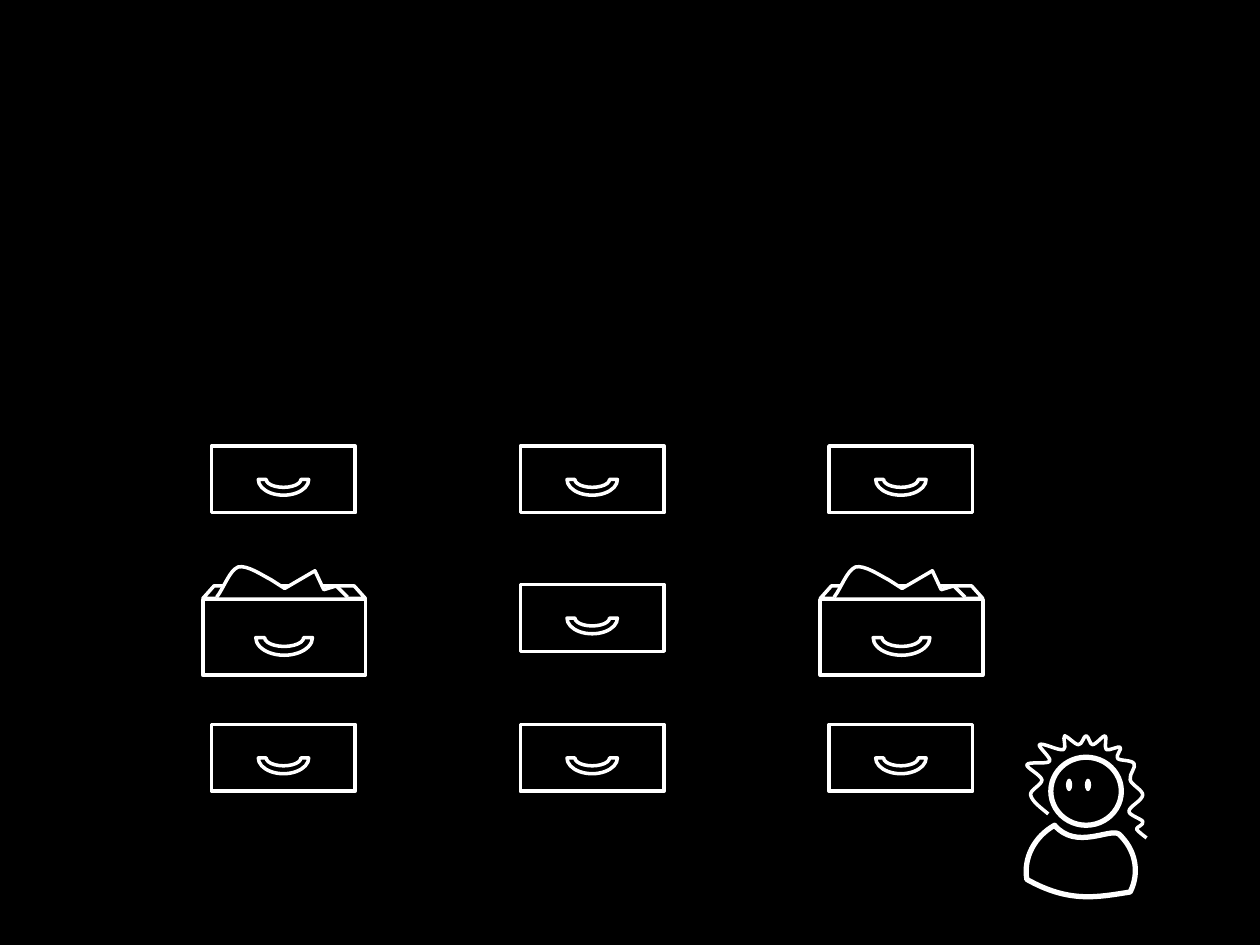
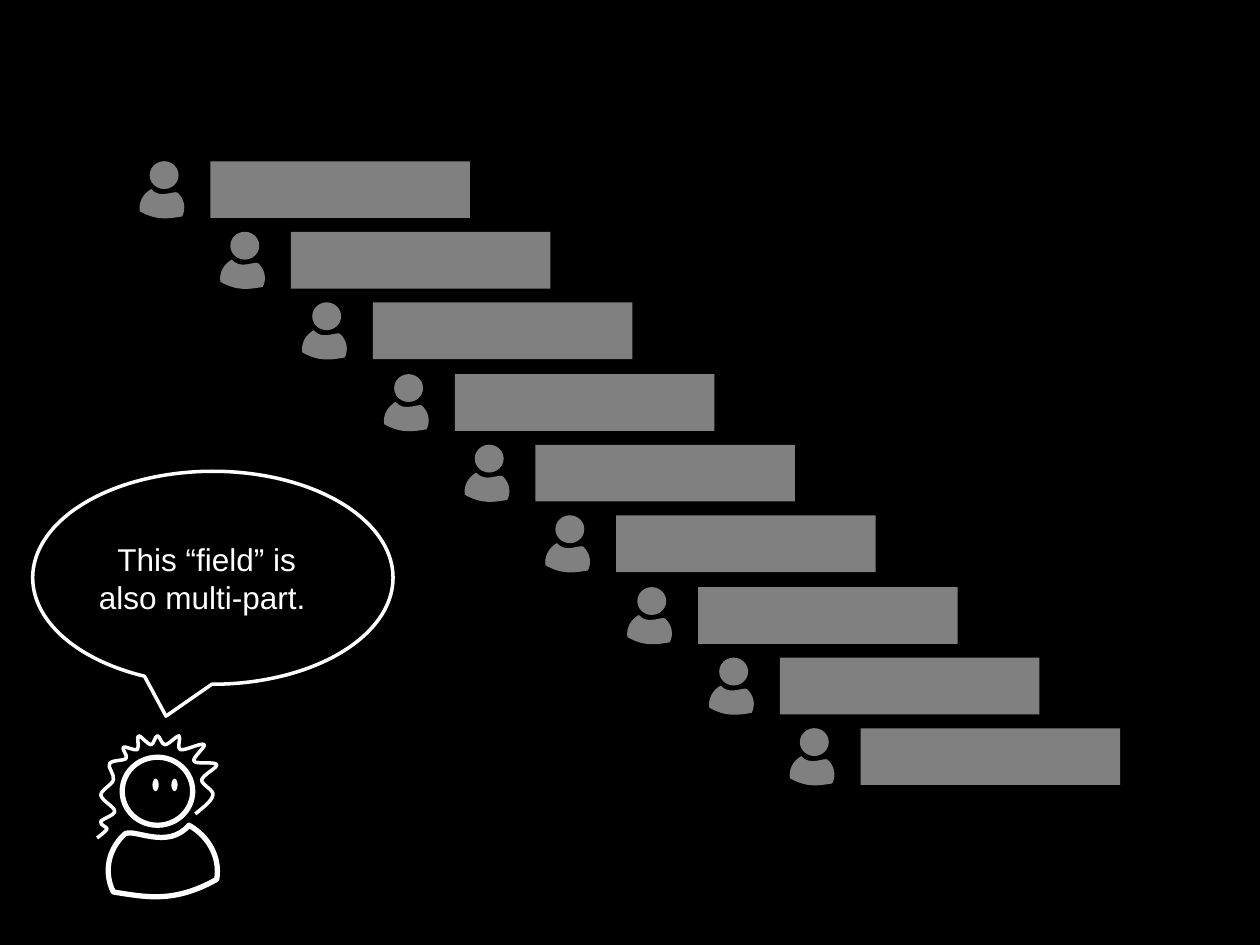
"""Build two slides: a grid of drawers and a staircase of people, both with a curly-haired commentator."""
from dataclasses import dataclass
from typing import Optional

from lxml.etree import SubElement
from pptx import Presentation
from pptx.dml.color import RGBColor
from pptx.enum.shapes import MSO_SHAPE as Preset
from pptx.enum.text import MSO_ANCHOR, PP_ALIGN
from pptx.oxml.ns import qn
from pptx.util import Emu, Pt

PX = 9144
WIDTH, HEIGHT = 1000, 750
BLACK = RGBColor(0x00, 0x00, 0x00)
WHITE = RGBColor(0xFF, 0xFF, 0xFF)
GREY = RGBColor(0x80, 0x80, 0x80)
FONT = "Arial"
CURVE_STEPS = 10


@dataclass(frozen=True)
class Paint:
    fill: Optional[RGBColor] = None
    stroke: Optional[int] = None


@dataclass(frozen=True)
class Box:
    left: int
    top: int
    width: int
    height: int


@dataclass(frozen=True)
class Outline:
    start: tuple[int, int]
    segments: tuple[tuple[int, ...], ...]
    closed: bool = False


@dataclass(frozen=True)
class Placement:
    left: int
    top: int
    scale: float = 1.0
    mirrored: bool = False

    def point(self, x: float, y: float) -> tuple[float, float]:
        direction = -1 if self.mirrored else 1
        return ((self.left + direction * self.scale * x) * PX,
                (self.top + self.scale * y) * PX)

    def frame(self, box: Box) -> list[Emu]:
        near_x = box.left + box.width if self.mirrored else box.left
        lengths = (*self.point(near_x, box.top),
                   box.width * self.scale * PX, box.height * self.scale * PX)
        return [Emu(round(length)) for length in lengths]


@dataclass(frozen=True)
class Drawer:
    front: Box
    handle: Box
    is_open: bool = False


THIN = Paint(stroke=2)
BOLD = Paint(stroke=3)
SOLID_WHITE = Paint(fill=WHITE)
SOLID_GREY = Paint(fill=GREY)
MASKED = Paint(fill=BLACK, stroke=2)
ON_SLIDE = Placement(0, 0)

BODY = Outline((0, 114), (
    (-3, 97, 6, 80, 22, 71), (39, 91, 66, 73, 73, 78),
    (86, 90, 90, 108, 82, 124), (56, 128, 34, 133, 0, 114),
), closed=True)
HEAD = Box(19, 17, 56, 54)
EYES = [Box(left, 34, 5, 10) for left in (31, 46)]
HAIR = Outline((17, 62), (
    (11, 57, 4, 52, 3, 47), (2, 43, 12, 39, 12, 35), (11, 31, -1, 25, 0, 23),
    (1, 20, 17, 23, 18, 20), (20, 18, 8, 8, 10, 7), (12, 5, 25, 12, 29, 11),
    (32, 10, 28, 1, 30, 0), (32, 0, 38, 7, 41, 7), (44, 7, 45, 0, 47, 0),
    (49, 0, 50, 7, 52, 7), (55, 7, 61, -1, 62, 0), (64, 0, 61, 9, 63, 11),
    (65, 12, 73, 8, 74, 9), (76, 10, 70, 16, 72, 18), (74, 20, 83, 19, 85, 22),
    (87, 25, 81, 30, 82, 35), (83, 39, 92, 43, 92, 47), (91, 52, 81, 56, 81, 60),
    (81, 63, 91, 66, 92, 68), (93, 71, 87, 72, 87, 74), (88, 76, 95, 81, 95, 81),
    (95, 81),
))

CLOSED_DRAWER = Drawer(Box(0, 0, 114, 53), Box(37, 14, 40, 25))
OPEN_DRAWER = Drawer(Box(-7, 12, 129, 60), Box(35, 28, 45, 28), is_open=True)
DRAWER_RIM = Box(-7, 1, 129, 10)
PAPERS = Outline((4, 10), (
    (10, 2, 14, -11, 21, -14), (28, -16, 41, -7, 47, -4),
    (58, 3), (82, -11), (89, 4), (99, 1), (108, 10),
))
DRAWER_COLUMNS = (168, 413, 658)
DRAWER_ROWS = (354, 464, 575)
OPEN_CELLS = {(0, 1), (2, 1)}

STAIR_COUNT = 9
STAIR_RUN, STAIR_DROP = 516, 450
STAIR_BAR = Box(167, 128, 206, 45)
STAIR_PERSON = Placement(111, 121, scale=0.41)


def apply_paint(shape, paint: Paint) -> None:
    """Set fill and line of a shape, without shadow."""
    shape.shadow.inherit = False
    if paint.fill is None:
        shape.fill.background()
    else:
        shape.fill.solid()
        shape.fill.fore_color.rgb = paint.fill
    if paint.stroke is None:
        shape.line.fill.background()
    else:
        shape.line.color.rgb = WHITE
        shape.line.width = Pt(paint.stroke)


def draw_preset(shapes, preset: Preset, box: Box, paint: Paint,
                place: Placement = ON_SLIDE):
    """Draw a preset shape in a placed box."""
    shape = shapes.add_shape(preset, *place.frame(box))
    apply_paint(shape, paint)
    return shape


def trace(outline: Outline) -> list[tuple[float, float]]:
    """Sample the lines and cubic curves of an outline to learn its extent."""
    points = []
    x0, y0 = outline.start
    for segment in outline.segments:
        *controls, x3, y3 = segment
        if controls:
            x1, y1, x2, y2 = controls
            for step in range(1, CURVE_STEPS + 1):
                t = step / CURVE_STEPS
                u = 1 - t
                weights = (u ** 3, 3 * u * u * t, 3 * u * t * t, t ** 3)
                points.append((sum(w * x for w, x in zip(weights, (x0, x1, x2, x3))),
                               sum(w * y for w, y in zip(weights, (y0, y1, y2, y3)))))
        else:
            points.append((x3, y3))
        x0, y0 = x3, y3
    return points


def draw_outline(shapes, outline: Outline, paint: Paint, place: Placement) -> None:
    """Draw a placed outline as a freeform with true curves."""
    builder = shapes.build_freeform(*place.point(*outline.start), scale=1.0)
    builder.add_line_segments([place.point(x, y) for x, y in trace(outline)],
                              close=outline.closed)
    shape = builder.convert_to_shape()
    route = shape.element.find(".//" + qn("a:path"))
    for straight in route.findall(qn("a:lnTo")):
        route.remove(straight)
    for segment in outline.segments:
        command = SubElement(route, qn("a:lnTo" if len(segment) == 2 else "a:cubicBezTo"))
        for corner in zip(segment[::2], segment[1::2]):
            x, y = place.point(*corner)
            SubElement(command, qn("a:pt"), x=str(round(x - shape.left)),
                       y=str(round(y - shape.top)))
    if outline.closed:
        route.append(route.find(qn("a:close")))
    apply_paint(shape, paint)


def draw_person(shapes, place: Placement, paint: Paint) -> None:
    """Draw the body and head of a person."""
    draw_outline(shapes, BODY, paint, place)
    draw_preset(shapes, Preset.OVAL, HEAD, paint, place)


def draw_commentator(slide, place: Placement) -> None:
    """Draw the curly-haired person with eyes."""
    figure = slide.shapes.add_group_shape().shapes
    draw_person(figure, place, BOLD)
    draw_outline(figure, HAIR, THIN, place)
    gaze = slide.shapes.add_group_shape().shapes
    for eye in EYES:
        draw_preset(gaze, Preset.OVAL, eye, SOLID_WHITE, place)


def draw_drawer(slide, drawer: Drawer, place: Placement) -> None:
    """Draw a drawer front with its handle, and the papers of an open one."""
    parts = slide.shapes.add_group_shape().shapes
    draw_preset(parts, Preset.RECTANGLE, drawer.front, THIN, place)
    draw_preset(parts, Preset.BLOCK_ARC, drawer.handle, THIN, place).rotation = 180
    if drawer.is_open:
        rim = draw_preset(parts, Preset.TRAPEZOID, DRAWER_RIM, THIN, place)
        rim.adjustments[0] = 0.89
        draw_outline(parts, PAPERS, MASKED, place)


def draw_stairs(slide) -> None:
    """Draw the descending row of people, each with a bar."""
    stairs = slide.shapes.add_group_shape().shapes
    for index in range(STAIR_COUNT):
        right = round(STAIR_RUN * index / (STAIR_COUNT - 1))
        down = round(STAIR_DROP * index / (STAIR_COUNT - 1))
        draw_preset(stairs, Preset.RECTANGLE, STAIR_BAR, SOLID_GREY,
                    Placement(right, down))
        draw_person(stairs, Placement(STAIR_PERSON.left + right,
                                      STAIR_PERSON.top + down,
                                      STAIR_PERSON.scale), SOLID_GREY)


def draw_speech(slide, words: str) -> None:
    """Draw the speech balloon with its words."""
    balloon = draw_preset(slide.shapes, Preset.OVAL_CALLOUT,
                          Box(26, 374, 286, 169), MASKED)
    balloon.adjustments[0], balloon.adjustments[1] = -0.13, 0.65
    frame = balloon.text_frame
    frame.word_wrap = True
    frame.vertical_anchor = MSO_ANCHOR.MIDDLE
    frame.margin_left = frame.margin_top = frame.margin_bottom = 0
    frame.margin_right = Emu(10 * PX)
    remark = frame.paragraphs[0]
    remark.text = words
    remark.alignment = PP_ALIGN.CENTER
    remark.font.name = FONT
    remark.font.size = Pt(18)
    remark.font.color.rgb = WHITE


def main() -> None:
    """Build and save the presentation."""
    deck = Presentation()
    deck.slide_width, deck.slide_height = Emu(WIDTH * PX), Emu(HEIGHT * PX)
    backdrop = deck.slide_master.background.fill
    backdrop.solid()
    backdrop.fore_color.rgb = BLACK
    blank = deck.slide_layouts[6]

    cabinet = deck.slides.add_slide(blank)
    for column, left in enumerate(DRAWER_COLUMNS):
        for row, top in enumerate(DRAWER_ROWS):
            drawer = OPEN_DRAWER if (column, row) in OPEN_CELLS else CLOSED_DRAWER
            draw_drawer(cabinet, drawer, Placement(left, top))
    draw_commentator(cabinet, Placement(815, 584))

    staircase = deck.slides.add_slide(blank)
    draw_commentator(staircase, Placement(172, 584, mirrored=True))
    draw_stairs(staircase)
    draw_speech(staircase, "This “field” is also multi-part. ")

    deck.save("out.pptx")


if __name__ == "__main__":
    main()
